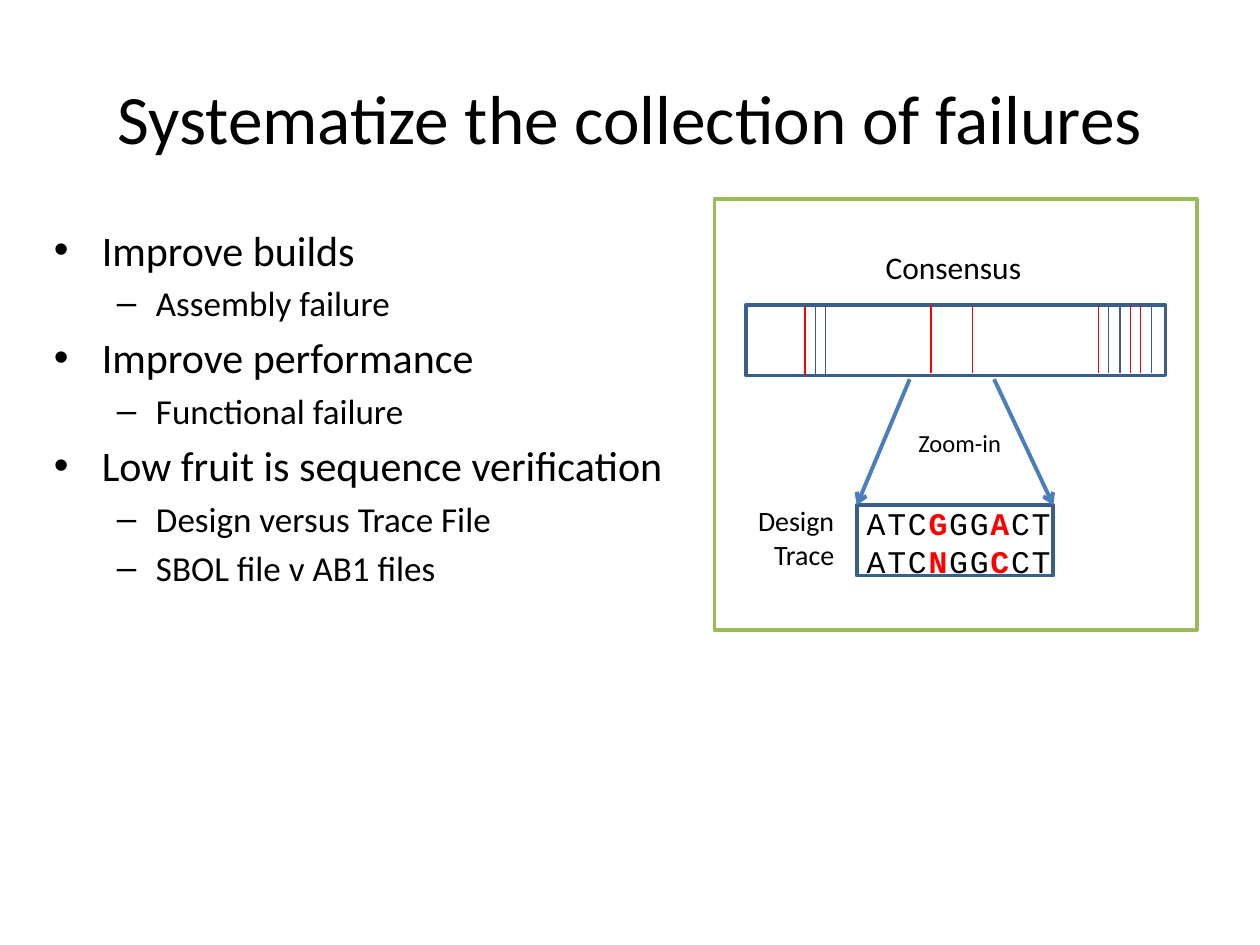
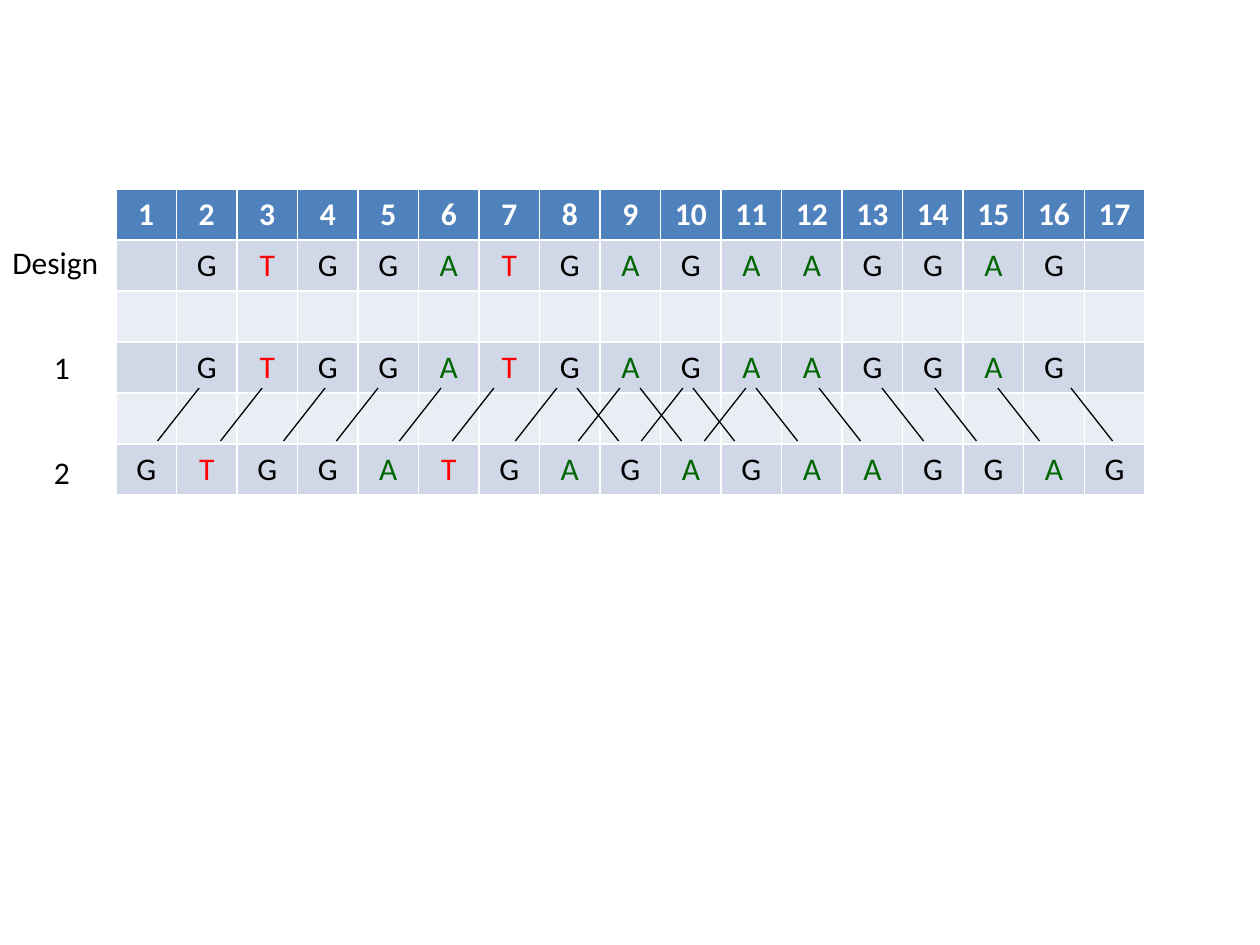
from dataclasses import dataclass

from lxml import etree
from pptx import Presentation
from pptx import util as u
from pptx.dml.color import RGBColor
from pptx.enum import shapes, text
from pptx.oxml.ns import qn


@dataclass(frozen=True)
class Theme:
    font: str = "Calibri"
    mono: str = "Courier New"
    black: str = "000000"
    white: str = "FFFFFF"
    red: str = "FF0000"
    green: str = "006600"
    navy: str = "3A5F8C"
    arrow: str = "4B7EBC"
    frame: str = "9BBB59"
    head: str = "4F81BD"
    band: str = "D0D8E8"
    pale: str = "E9EDF4"
    title: float = 39.6
    item: int = 24
    sub: int = 20
    body: int = 18
    label: int = 16
    note: int = 14


T = Theme()
LEFT, MID, RIGHT = text.PP_ALIGN.LEFT, text.PP_ALIGN.CENTER, text.PP_ALIGN.RIGHT


def inch(*sizes):
    return [u.Inches(size) for size in sizes]


def style(font, size=T.body, color=T.black, name=T.font, bold=None):
    font.name, font.size, font.bold = name, u.Pt(size), bold
    font.color.rgb = RGBColor.from_string(color)


def title(slide, words):
    hold = slide.shapes.title
    hold.left, hold.top, hold.width, hold.height = inch(0.5, 0.3, 9, 1.25)
    frame = hold.text_frame
    frame.text = words
    frame.vertical_anchor = text.MSO_ANCHOR.MIDDLE
    para = frame.paragraphs[0]
    para.alignment = MID
    style(para.font, T.title)


def label(parent, box, words, size=T.body, align=LEFT):
    frame = parent.add_textbox(*inch(*box)).text_frame
    frame.word_wrap = False
    frame.auto_size = text.MSO_AUTO_SIZE.SHAPE_TO_FIT_TEXT
    frame.text = words
    for para in frame.paragraphs:
        para.alignment = align
        style(para.font, size)
    return frame


def bullets(parent, box, items):
    frame = parent.add_textbox(*inch(*box)).text_frame
    frame.word_wrap = True
    frame.text = "\n".join(words for _, words in items)
    looks = [(T.item, "•", 0.38, -0.38), (T.sub, "–", 0.81, -0.31)]
    for para, (level, _) in zip(frame.paragraphs, items):
        size, mark, left, hang = looks[level]
        para.level = level
        para.space_before = u.Pt(size * 0.2)
        style(para.font, size)
        props = para._p.get_or_add_pPr()
        props.set("marL", str(u.Inches(left)))
        props.set("indent", str(u.Inches(hang)))
        font = etree.Element(qn("a:buFont"), typeface="Arial")
        char = etree.Element(qn("a:buChar"), char=mark)
        spot = props.index(props.find(qn("a:defRPr")))
        props[spot:spot] = [font, char]


def rect(parent, box, color):
    shape = parent.add_shape(shapes.MSO_SHAPE.RECTANGLE, *inch(*box))
    shape.shadow.inherit = False
    shape.fill.background()
    shape.line.color.rgb = RGBColor.from_string(color)
    shape.line.width = u.Pt(2)


def line(parent, ends, color, width=0.75, arrow=False):
    link = parent.add_connector(shapes.MSO_CONNECTOR.STRAIGHT, *inch(*ends))
    link.line.color.rgb = RGBColor.from_string(color)
    link.line.width = u.Pt(width)
    if arrow:
        etree.SubElement(link.line._get_or_add_ln(), qn("a:tailEnd"), type="arrow")
    etree.SubElement(link._element.spPr, qn("a:effectLst"))


def reads(parent, box, rows):
    frame = label(parent, box, "\n".join([""] * len(rows)))
    for para, parts in zip(frame.paragraphs, rows):
        style(para.font, name=T.mono)
        for spot, part in enumerate(parts):
            run = para.add_run()
            run.text = part
            odd = spot % 2 == 1
            style(run.font, color=T.red if odd else T.black, name=T.mono, bold=odd)
            run.font._element.set("spc", "100")


def zoom(parent):
    rect(parent, (5.92, 2.42, 3.33, 0.56), T.navy)
    rect(parent, (6.8, 4.01, 1.56, 0.56), T.navy)
    reads(parent, (6.78, 3.95, 1.69, 0.71),
          [("ATC", "G", "GG", "A", "CT"), ("ATC", "N", "GG", "C", "CT")])
    for start, end in ((7.22, 6.8), (7.89, 8.36)):
        line(parent, (start, 3.01, end, 4.01), T.arrow, 2.25, True)
    label(parent, (7.19, 3.35, 0.86, 0.34), "Zoom-in", T.note)
    ticks = [
        (2.44, T.red, (6.39,)),
        (2.44, T.navy, (6.47, 6.55)),
        (2.42, T.red, (7.39, 7.72, 8.72, 8.97, 9.05)),
        (2.42, T.navy, (8.8, 8.89, 9.14)),
    ]
    for top, color, spots in ticks:
        for x in spots:
            line(parent, (x, top, x, top + 0.54), color)
    label(parent, (6.93, 1.92, 1.3, 0.4), "Consensus")
    label(parent, (5.91, 3.95, 0.81, 0.64), "Design\nTrace", T.label, RIGHT)


def grid(parent, box, rows):
    count = len(rows[0])
    table = parent.add_table(len(rows), count, *inch(*box)).table
    for col in table.columns:
        col.width = u.Inches(box[2] / count)
    for row in table.rows:
        row.height = u.Inches(box[3] / len(rows))
    inks = {"A": T.green, "T": T.red}
    for r, row in enumerate(rows):
        fill = T.head if r == 0 else T.band if r % 2 else T.pale
        for c, words in enumerate(row):
            cell = table.cell(r, c)
            cell.fill.solid()
            cell.fill.fore_color.rgb = RGBColor.from_string(fill)
            cell.vertical_anchor = text.MSO_ANCHOR.MIDDLE
            cell.margin_left = cell.margin_right = cell.margin_top = u.Inches(0.01)
            cell.margin_bottom = 0
            cell.text = words.strip()
            para = cell.text_frame.paragraphs[0]
            para.alignment = MID
            ink = T.white if r == 0 else inks.get(words, T.black)
            style(para.font, color=ink, bold=r == 0)


def failures(deck):
    slide = deck.slides.add_slide(deck.slide_layouts[5])
    title(slide, "Systematize the collection of failures")
    bullets(slide.shapes, (0.33, 1.73, 5.57, 4.02), [
        (0, "Improve builds"),
        (1, "Assembly failure"),
        (0, "Improve performance"),
        (1, "Functional failure"),
        (0, "Low fruit is sequence verification"),
        (1, "Design versus Trace File"),
        (1, "SBOL file v AB1 files"),
    ])
    zoom(slide.shapes.add_group_shape().shapes)
    rect(slide.shapes, (5.67, 1.58, 3.83, 3.42), T.frame)


def align(deck):
    parent = deck.slides.add_slide(deck.slide_layouts[6]).shapes
    design = " GTGGATGAGAAGGAG "
    blank = " " * len(design)
    heads = [str(n + 1) for n in range(len(design))]
    grid(parent, (0.92, 1.5, 8.17, 2.43),
         [heads, design, blank, design, blank, "GTGGATGAGAGAAGGAG"])
    label(parent, (0, 1.88, 0.89, 0.4), "Design")
    for name, top in (("1", 2.71), ("2", 3.55)):
        label(parent, (0.33, top, 0.33, 0.4), name)
    back = (1.58, 2.08, 2.58, 3, 3.5, 3.92, 4.42, 4.92, 5.42, 5.92)
    ahead = (4.58, 5.08, 5.5, 6, 6.5, 7, 7.42, 7.92, 8.5)
    for tops, shift in ((back, -0.33), (ahead, 0.33)):
        for x in tops:
            line(parent, (x + shift, 3.5, x, 3.08), T.black)


def main():
    deck = Presentation()
    deck.slide_width, deck.slide_height = inch(10, 7.5)
    failures(deck)
    align(deck)
    deck.save("out.pptx")


if __name__ == "__main__":
    main()
